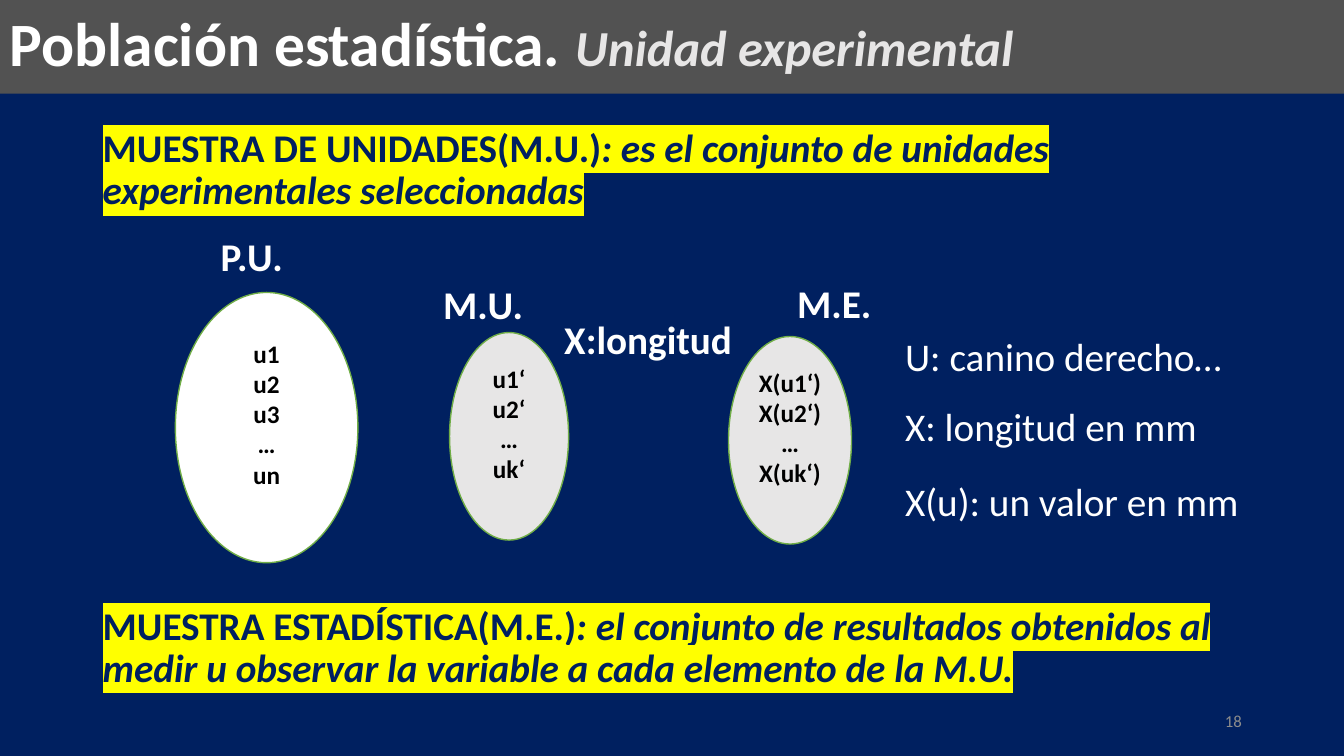
import pptx
import pptx.util
import pptx.dml.color
import pptx.enum.shapes
import pptx.enum.text
import pptx.oxml
import pptx.oxml.ns
from dataclasses import dataclass

Cm, Pt = pptx.util.Cm, pptx.util.Pt
RGB = pptx.dml.color.RGBColor.from_string
ALIGN = pptx.enum.text.PP_ALIGN
ANCHOR = pptx.enum.text.MSO_ANCHOR
SHAPE = pptx.enum.shapes.MSO_SHAPE


@dataclass(frozen=True)
class Theme:
    font: str = "Calibri"
    navy: str = "002060"
    bar: str = "525252"
    white: str = "FFFFFF"
    light: str = "E7E6E6"
    black: str = "000000"
    green: str = "70AD47"
    yellow: str = "FFFF00"
    grey: str = "8C8C8C"
    title: int = 44
    subtitle: int = 36
    body: int = 28
    element: int = 18
    number: int = 12


@dataclass(frozen=True)
class Box:
    left: float
    top: float
    width: float
    height: float

    def lengths(self) -> list:
        return [Cm(v) for v in (self.left, self.top, self.width, self.height)]


@dataclass(frozen=True)
class Label:
    text: str
    box: Box
    bold: bool = False


@dataclass(frozen=True)
class SampleSet:
    elements: str
    box: Box
    fill: str
    top_inset: float = 0


@dataclass(frozen=True)
class Definition:
    term: str
    meaning: str
    top: float


T = Theme()

LABELS = [
    Label("P.U.", Box(5.31, 5.74, 2.2, 1.45), True),
    Label("M.U.", Box(10.92, 6.93, 2.57, 1.45), True),
    Label("M.E.", Box(19.84, 6.91, 2.57, 1.45), True),
    Label("X:longitud", Box(13.97, 7.82, 5.44, 1.45), True),
    Label("U: canino derecho…", Box(22.56, 8.26, 10.67, 1.45)),
    Label("X: longitud en mm", Box(22.56, 10.01, 10.67, 1.45)),
    Label("X(u): un valor en mm", Box(22.56, 11.91, 10.67, 1.45)),
]

SETS = [
    SampleSet("u1\nu2\nu3\n…\nun", Box(4.42, 7.37, 4.6, 6.81), T.white, 0.15),
    SampleSet("u1‘\nu2‘\n…\nuk‘", Box(11.33, 8.38, 3, 5.23), T.light),
    SampleSet("X(u1‘)\nX(u2‘)\n…\nX(uk‘)", Box(18.36, 8.48, 3.1, 5.23), T.light),
]

DEFINITIONS = [
    Definition("MUESTRA DE UNIDADES(M.U.)",
               ": es el conjunto de unidades experimentales seleccionadas", 3.12),
    Definition("MUESTRA ESTADÍSTICA(M.E.)",
               ": el conjunto de resultados obtenidos al medir u observar "
               "la variable a cada elemento de la M.U.", 15.16),
]


def style(r, size: int, color: str, bold: bool = False, italic: bool = False) -> None:
    f = r.font
    f.name, f.size, f.bold, f.italic = T.font, Pt(size), bold, italic
    f.color.rgb = RGB(color)


def add_run(p, text: str, size: int, color: str, bold: bool = False, italic: bool = False):
    r = p.add_run()
    r.text = text
    style(r, size, color, bold, italic)
    return r


def highlight(r, color: str) -> None:
    mark = pptx.oxml.parse_xml(
        f'<a:highlight {pptx.oxml.ns.nsdecls("a")}><a:srgbClr val="{color}"/></a:highlight>')
    r.font._element.find(pptx.oxml.ns.qn("a:solidFill")).addnext(mark)


def add_text(s, box: Box):
    tf = s.shapes.add_textbox(*box.lengths()).text_frame
    tf.word_wrap = True
    return tf


def add_shape(s, kind, box: Box, fill: str):
    sp = s.shapes.add_shape(kind, *box.lengths())
    sp.shadow.inherit = False
    sp.fill.solid()
    sp.fill.fore_color.rgb = RGB(fill)
    sp.line.fill.background()
    return sp


def add_title(s) -> None:
    sp = add_shape(s, SHAPE.RECTANGLE, Box(0, 0, 33.87, 2.36), T.bar)
    sp.text_frame.vertical_anchor = ANCHOR.MIDDLE
    p = sp.text_frame.paragraphs[0]
    p.alignment, p.line_spacing = ALIGN.LEFT, 0.9
    add_run(p, "Población estadística. ", T.title, T.white, True)
    add_run(p, "Unidad experimental", T.subtitle, T.light, True, True)


def add_label(s, label: Label) -> None:
    p = add_text(s, label.box).paragraphs[0]
    add_run(p, label.text, T.body, T.white, label.bold)


def add_set(s, item: SampleSet) -> None:
    sp = add_shape(s, SHAPE.OVAL, item.box, item.fill)
    sp.line.color.rgb = RGB(T.green)
    sp.line.width = Pt(1)
    tf = sp.text_frame
    tf.vertical_anchor = ANCHOR.TOP
    tf.margin_left = tf.margin_right = tf.margin_bottom = 0
    tf.margin_top = Cm(item.top_inset)
    tf.text = item.elements
    for p in tf.paragraphs:
        p.alignment = ALIGN.CENTER
        style(p.runs[0], T.element, T.black, True)


def add_definition(s, item: Definition) -> None:
    p = add_text(s, Box(2.34, item.top, 29.21, 2.87)).paragraphs[0]
    p.line_spacing = 0.9
    for text, italic in ((item.term, False), (item.meaning, True)):
        highlight(add_run(p, text, T.body, T.navy, True, italic), T.yellow)


def add_number(s) -> None:
    tf = add_text(s, Box(23.93, 17.65, 7.62, 1.02))
    tf.vertical_anchor = ANCHOR.MIDDLE
    p = tf.paragraphs[0]
    p.alignment = ALIGN.RIGHT
    add_run(p, "18", T.number, T.grey)


def main() -> None:
    prs = pptx.Presentation()
    prs.slide_width, prs.slide_height = Cm(33.87), Cm(19.05)
    s = prs.slides.add_slide(prs.slide_layouts[6])
    s.background.fill.solid()
    s.background.fill.fore_color.rgb = RGB(T.navy)

    # Title bar and slide number
    add_title(s)
    add_number(s)

    # Sets of units and results
    for item in SETS:
        add_set(s, item)

    # Set names and legend
    for label in LABELS:
        add_label(s, label)

    # Highlighted definitions
    for definition in DEFINITIONS:
        add_definition(s, definition)

    prs.save("out.pptx")


if __name__ == "__main__":
    main()
